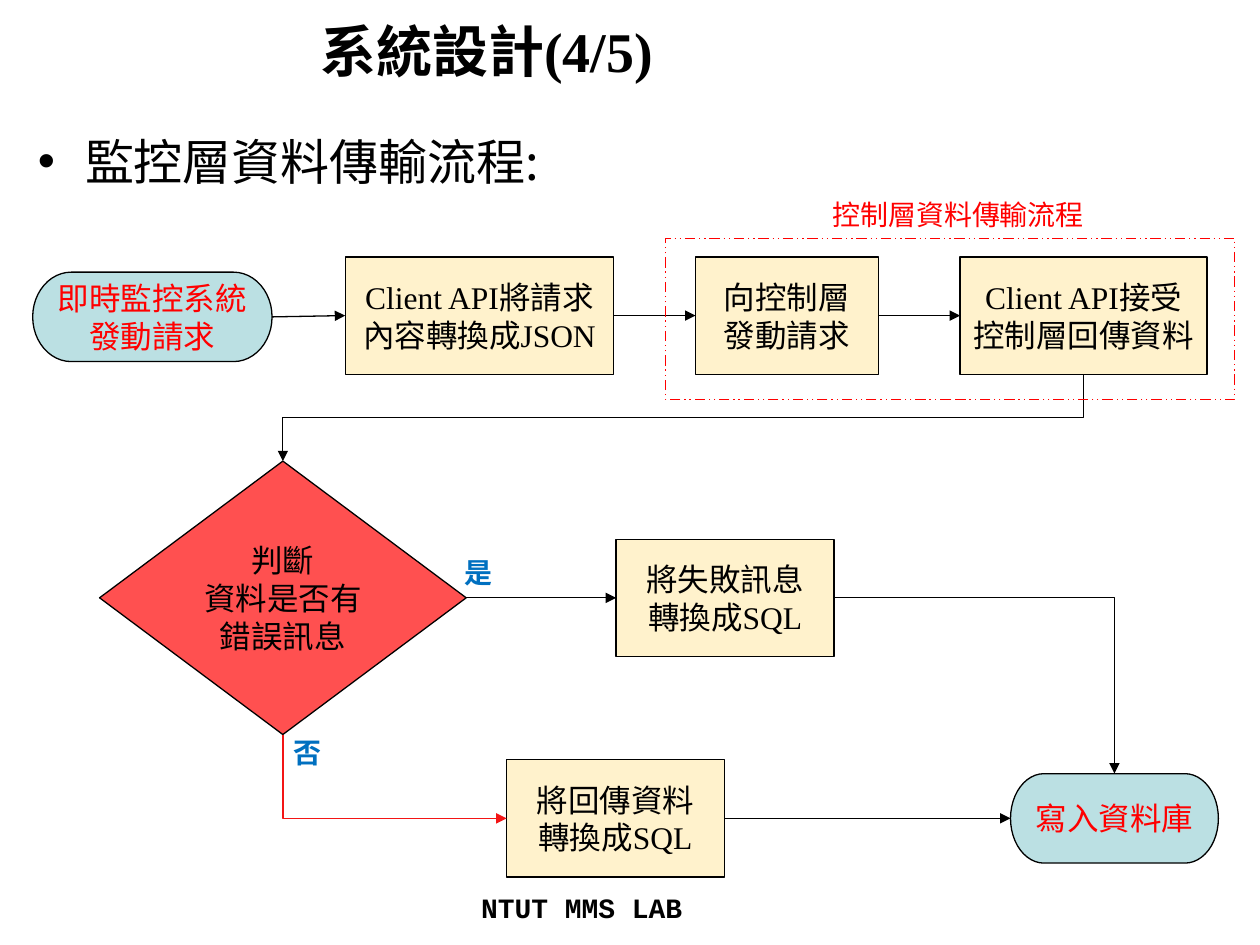
from lxml import etree
from pptx import Presentation
from pptx.dml.color import RGBColor
from pptx.enum.dml import MSO_LINE
from pptx.enum.shapes import MSO_CONNECTOR, MSO_SHAPE
from pptx.enum.text import MSO_ANCHOR, MSO_AUTO_SIZE, PP_ALIGN
from pptx.oxml.ns import qn
from pptx.util import Pt

PX = 9144
PROCESS = MSO_SHAPE.FLOWCHART_PROCESS
TERMINATOR = MSO_SHAPE.FLOWCHART_TERMINATOR
DECISION = MSO_SHAPE.FLOWCHART_DECISION
RECTANGLE = MSO_SHAPE.RECTANGLE
STRAIGHT, ELBOW = MSO_CONNECTOR.STRAIGHT, MSO_CONNECTOR.ELBOW
DASH_DOT_DOT = MSO_LINE.DASH_DOT_DOT
LEFT, CENTER = PP_ALIGN.LEFT, PP_ALIGN.CENTER
TOP, MIDDLE = MSO_ANCHOR.TOP, MSO_ANCHOR.MIDDLE
NO_FIT = MSO_AUTO_SIZE.NONE
SERIF, SANS, MONO = "Times New Roman", "Noto Sans CJK SC", "Courier New"
TOP_SIDE, LEFT_SIDE, BOTTOM_SIDE, RIGHT_SIDE = range(4)
BLACK, RED, BLUE = "000000", "FF0000", "0070C0"
CREAM, TEAL, CORAL = "FFF2CC", "BBE0E3", "FF5050"


def color(value):
    """Turn a hex string into a colour."""
    return RGBColor.from_string(value)


def emu(*lengths):
    """Scale px lengths to EMU."""
    return [length * PX for length in lengths]


def write(shape, text, size, font, ink, bold=False, align=CENTER, anchor=MIDDLE):
    """Put formatted text in a shape."""
    frame = shape.text_frame
    frame.text = text
    frame.word_wrap = True
    frame.auto_size = NO_FIT
    frame.vertical_anchor = anchor
    for para in frame.paragraphs:
        para.alignment = align
        para.space_before = Pt(0)
        for span in para.runs:
            span.font.name = font
            span.font.size = Pt(size)
            span.font.bold = bold
            span.font.color.rgb = color(ink)
            east_asian = etree.SubElement(span.font._element, qn("a:ea"))
            east_asian.set("typeface", SANS)


def add_label(page, box, text, font, ink, bold=True, align=CENTER):
    """Add a small caption."""
    label = page.shapes.add_textbox(*emu(*box))
    write(label, text, 16, font, ink, bold, align, TOP)


def add_node(page, kind, box, text, fill, ink=BLACK):
    """Add one flowchart step."""
    node = page.shapes.add_shape(kind, *emu(*box))
    node.shadow.inherit = False
    node.fill.solid()
    node.fill.fore_color.rgb = color(fill)
    node.line.color.rgb = color(BLACK)
    node.line.width = Pt(0.75)
    write(node, text, 18, SERIF, ink)
    node.text_frame.margin_left = node.text_frame.margin_right = 8 * PX
    return node


def style_arrow(arrow, ink=BLACK):
    """Give a connector its line and arrowhead."""
    arrow.line.color.rgb = color(ink)
    arrow.line.width = Pt(0.75)
    etree.SubElement(arrow.line._get_or_add_ln(), qn("a:tailEnd")).set("type", "triangle")
    etree.SubElement(arrow._element.spPr, qn("a:effectLst"))


def link(page, source, target):
    """Join two neighbours from right side to left side."""
    arrow = page.shapes.add_connector(STRAIGHT, 0, 0, 0, 0)
    arrow.begin_connect(source, RIGHT_SIDE)
    arrow.end_connect(target, LEFT_SIDE)
    style_arrow(arrow)


def side_point(node, side):
    """Return the middle of one side of a node."""
    center_x, center_y = node.left + node.width // 2, node.top + node.height // 2
    return {
        TOP_SIDE: (center_x, node.top),
        LEFT_SIDE: (node.left, center_y),
        BOTTOM_SIDE: (center_x, node.top + node.height),
        RIGHT_SIDE: (node.left + node.width, center_y),
    }[side]


def bend(page, start, end, preset, turn=0, flip=False, ink=BLACK):
    """Draw an elbow arrow, its frame turned about the centre."""
    width, height = abs(end[0] - start[0]), abs(end[1] - start[1])
    if turn:
        width, height = height, width
    left = (start[0] + end[0] - width) // 2
    top = (start[1] + end[1] - height) // 2
    arrow = page.shapes.add_connector(ELBOW, left, top, left + width, top + height)
    properties = arrow._element.spPr
    properties.find(qn("a:prstGeom")).set("prst", preset)
    frame = properties.find(qn("a:xfrm"))
    frame.set("rot", str(turn * 60000))
    frame.set("flipH", str(int(flip)))
    style_arrow(arrow, ink)


def add_header(page, left, top):
    """Fill the title and the bullet line."""
    title, body = page.shapes.title, page.placeholders[1]
    title.left, title.top, title.width, title.height = emu(left + 224, top, 756, 79)
    body.left, body.top, body.width, body.height = emu(left, top + 99, 969, 582)
    write(title, "系統設計(4/5)", 32, SERIF, BLACK, True, LEFT)
    write(body, "監控層資料傳輸流程:", 28, SANS, BLACK, False, LEFT, TOP)


def add_request_row(page, left, top):
    """Lay out the request steps and return the last one."""
    start = add_node(page, TERMINATOR, (left, top + 12, 190, 71), "即時監控系統發動請求", TEAL, RED)
    steps = [
        (248, 213, "Client API將請求內容轉換成JSON"),
        (526, 145, "向控制層\n發動請求"),
        (736, 196, "Client API接受控制層回傳資料"),
    ]
    nodes = [start]
    for offset, width, text in steps:
        nodes.append(add_node(page, PROCESS, (left + offset, top, width, 93), text, CREAM))
    for source, target in zip(nodes, nodes[1:]):
        link(page, source, target)
    return nodes[-1]


def add_control_frame(page, left, top):
    """Outline the control layer steps with a caption."""
    outline = page.shapes.add_shape(RECTANGLE, *emu(left, top, 452, 128))
    outline.shadow.inherit = False
    outline.fill.background()
    outline.line.color.rgb = color(RED)
    outline.line.width = Pt(0.75)
    outline.line.dash_style = DASH_DOT_DOT
    add_label(page, (left + 117, top - 37, 231, 37), "控制層資料傳輸流程", SANS, RED, False)


def add_decision_area(page, left, top):
    """Lay out the error check with both branches and return the check."""
    check = add_node(page, DECISION, (left, top, 291, 217), "判斷\n資料是否有\n錯誤訊息", CORAL)
    failure = add_node(page, PROCESS, (left + 410, top + 62, 173, 93), "將失敗訊息\n轉換成SQL", CREAM)
    result = add_node(page, PROCESS, (left + 323, top + 237, 173, 93), "將回傳資料\n轉換成SQL", CREAM)
    database = add_node(page, TERMINATOR, (left + 723, top + 248, 165, 71), "寫入資料庫", TEAL, RED)
    link(page, check, failure)
    link(page, result, database)
    bend(page, side_point(failure, RIGHT_SIDE), side_point(database, TOP_SIDE), "bentConnector2")
    bend(page, side_point(check, BOTTOM_SIDE), side_point(result, LEFT_SIDE),
         "bentConnector2", 270, True, "F31515")
    add_label(page, (left + 263, top + 70, 76, 37), "是", SANS, BLUE)
    add_label(page, (left + 123, top + 213, 84, 37), "否", SANS, BLUE)
    return check


def main():
    """Build the slide and save it."""
    deck = Presentation()
    deck.slide_width, deck.slide_height = emu(1000, 750)
    page = deck.slides.add_slide(deck.slide_layouts[1])
    add_header(page, 20, 0)
    reply = add_request_row(page, 26, 204)
    check = add_decision_area(page, 79, 366)
    bend(page, side_point(reply, BOTTOM_SIDE), side_point(check, TOP_SIDE), "bentConnector3", 90)
    add_control_frame(page, 528, 189)
    add_label(page, (372, 702, 324, 32), "NTUT MMS LAB", MONO, BLACK, True, LEFT)
    deck.save("out.pptx")


if __name__ == "__main__":
    main()
